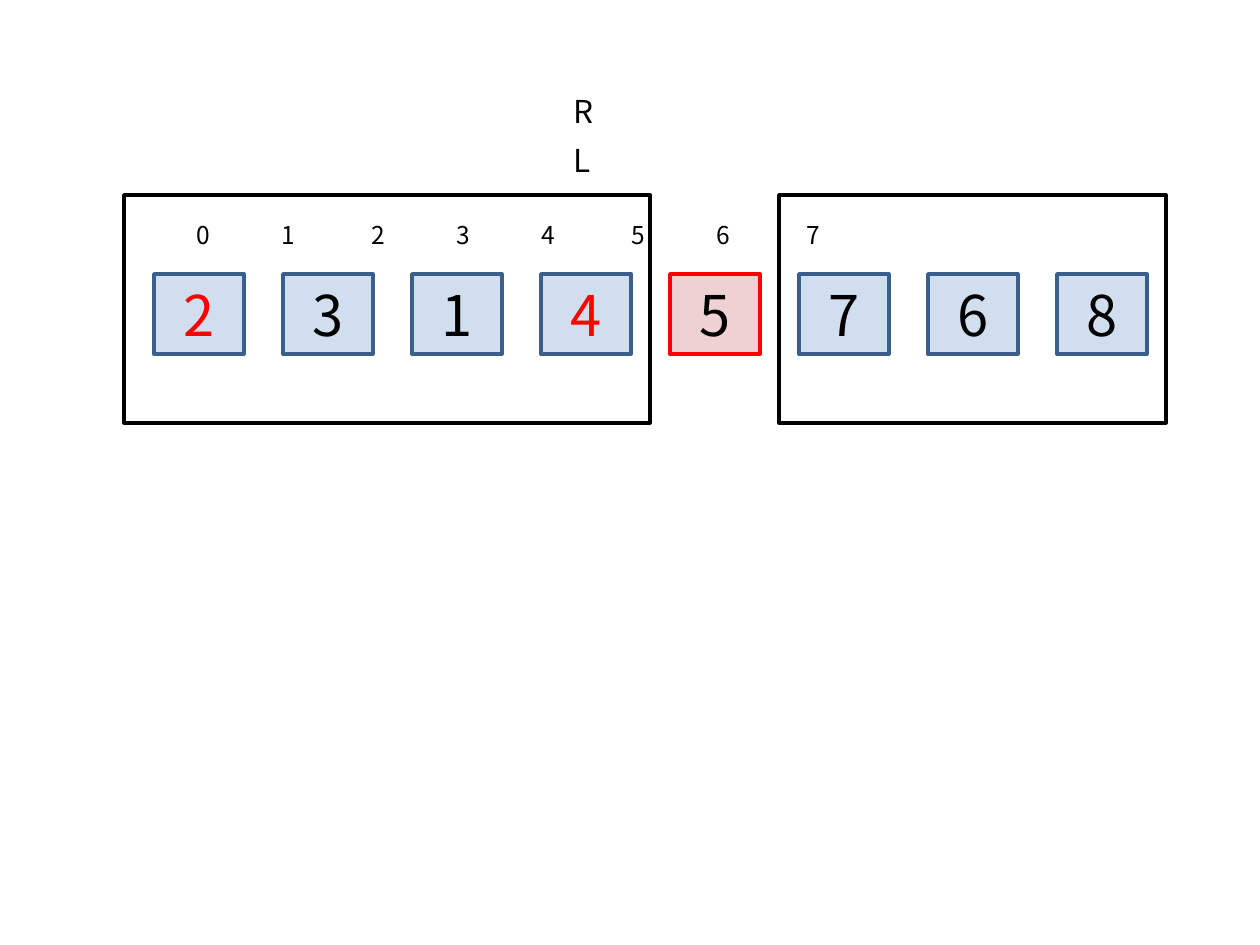
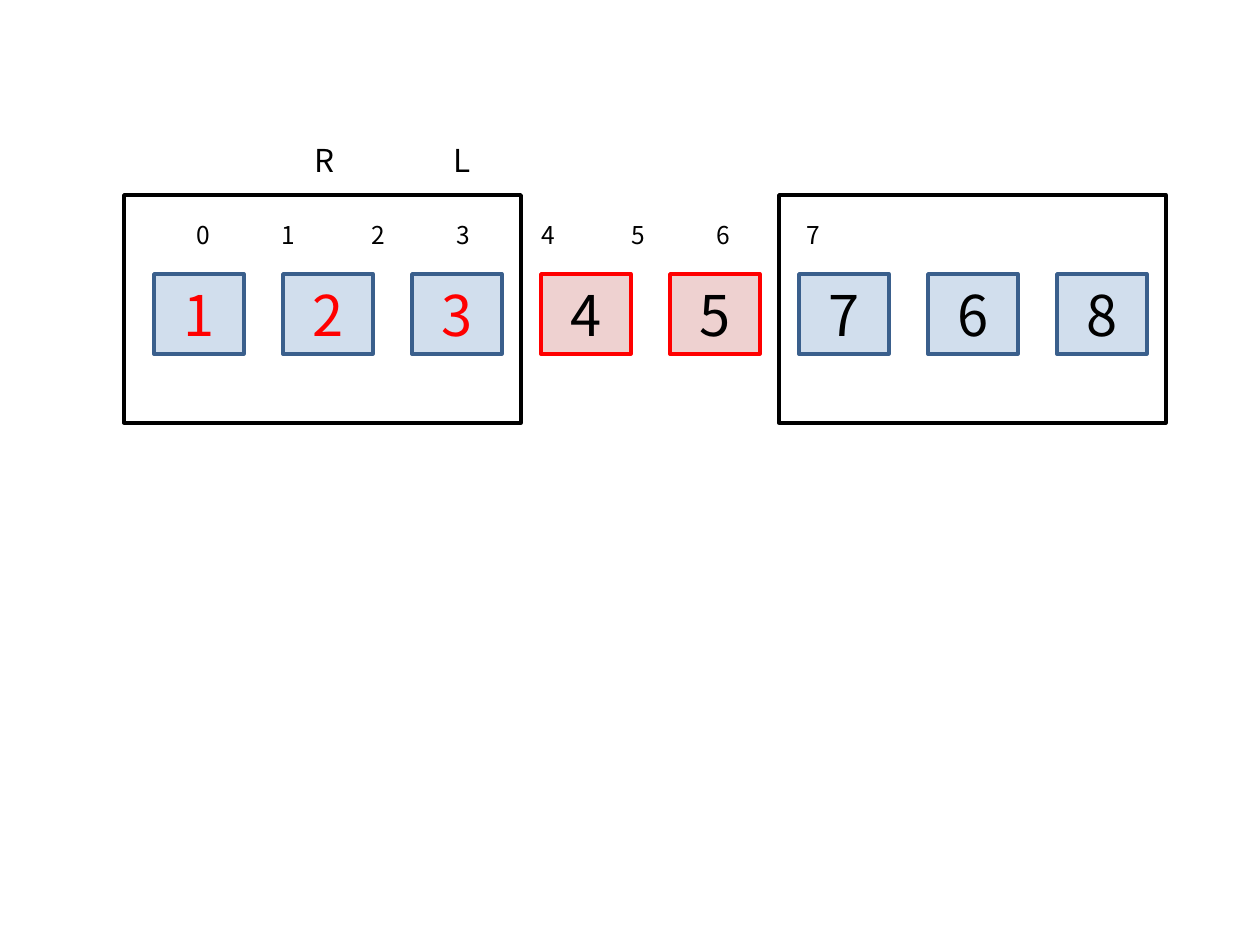
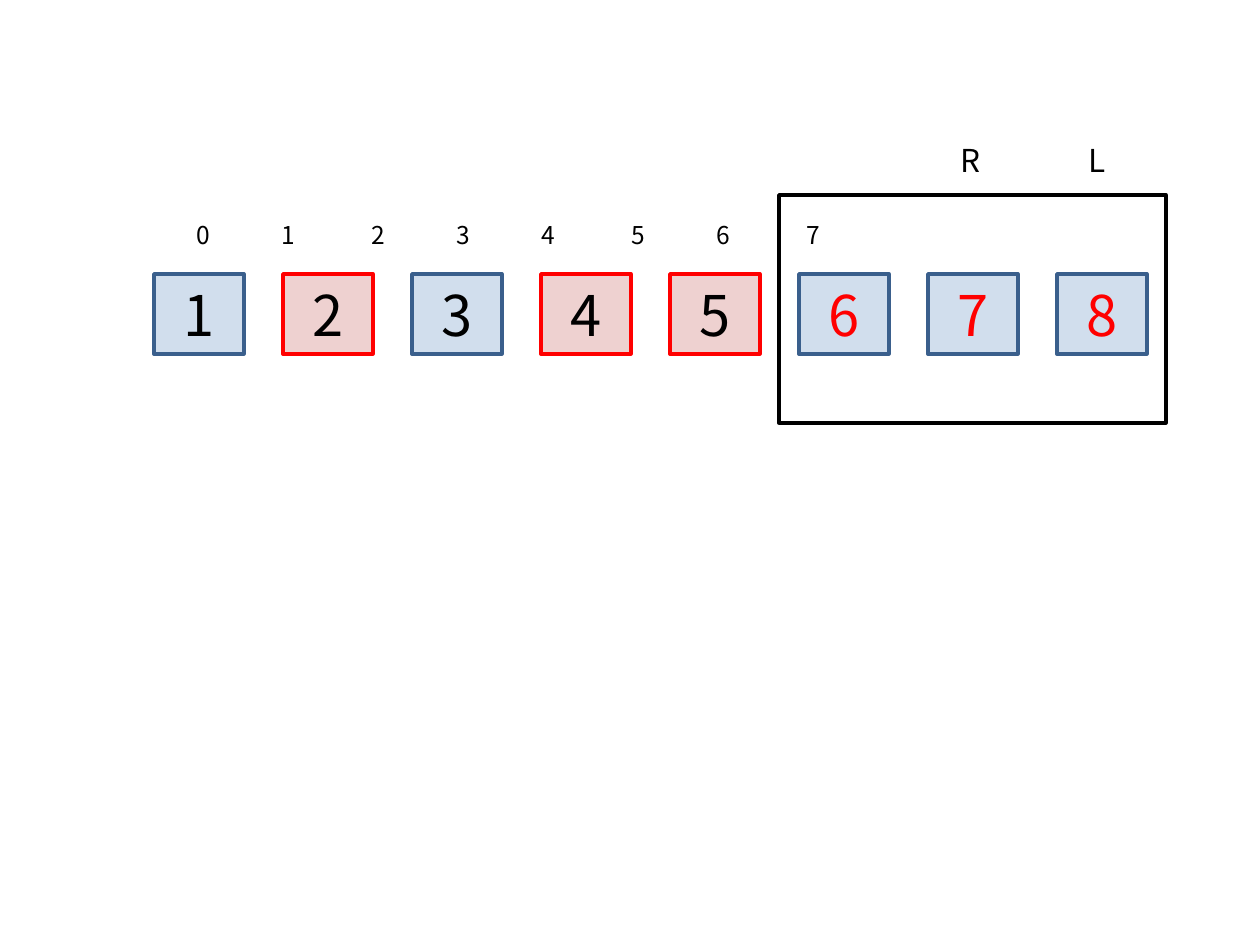
import itertools

import pptx
import pptx.dml.color
import pptx.enum.shapes
import pptx.enum.text
import pptx.oxml.ns
import pptx.util
from lxml import etree

RGBColor = pptx.dml.color.RGBColor

# Content: marked values are red, pivots are settled cells,
# frames are (first cell, last cell, left padding),
# pointers are (name, cell, level above the frame, inset in the cell)
RIGHT_FRAME = (5, 7, 20)
STEPS = [
    {
        "values": [2, 3, 1, 4, 5, 7, 6, 8],
        "marked": {2, 4},
        "pivots": {5},
        "frames": [RIGHT_FRAME, (0, 3, 30)],
        "pointers": [("L", 3, 0, 20), ("R", 3, 1, 20)],
    },
    {
        "values": [1, 2, 3, 4, 5, 7, 6, 8],
        "marked": {1, 2, 3},
        "pivots": {4, 5},
        "frames": [RIGHT_FRAME, (0, 2, 30)],
        "pointers": [("L", 2, 0, 29), ("R", 1, 0, 19)],
    },
    {
        "values": [1, 2, 3, 4, 5, 6, 7, 8],
        "marked": {6, 7, 8},
        "pivots": {2, 4, 5},
        "frames": [RIGHT_FRAME],
        "pointers": [("L", 7, 0, 19), ("R", 6, 0, 20)],
    },
]

# Style
FONT = "Noto Sans CJK KR"
BLACK = RGBColor(0x00, 0x00, 0x00)
RED = RGBColor(0xFF, 0x00, 0x00)
CELL_FILL = RGBColor(0x4F, 0x81, 0xBD)
CELL_LINE = RGBColor(0x3A, 0x5F, 0x8C)
PIVOT_FILL = RGBColor(0xC0, 0x50, 0x4D)
CELL_OPACITY = 26

# Layout in px
PX = 914400 // 126
SLIDE_WIDTH, SLIDE_HEIGHT = 1260, 945
CELL_LEFT, CELL_TOP, CELL_WIDTH, CELL_HEIGHT, CELL_PITCH = 154, 274, 90, 80, 129
FRAME_TOP, FRAME_HEIGHT, FRAME_RIGHT_PADDING = 195, 228, 19
POINTER_TOP, POINTER_HEIGHT, POINTER_RISE = 135, 50, 49
POINTER_WIDTHS = {"L": 40, "R": 45}
INDEX_BOX = (184, 214, 954, 43)
INDEX_GAPS = [85, 90, 85, 85, 90, 85, 90]


def cell_left(cell):
    return CELL_LEFT + cell * CELL_PITCH


def to_emu(*lengths):
    return [length * PX for length in lengths]


def style_paragraph(paragraph, size, color=BLACK):
    paragraph.font.name = FONT
    paragraph.font.size = pptx.util.Pt(size)
    paragraph.font.color.rgb = color


def add_rectangle(slide, box, line_color, fill_color=None):
    shape = slide.shapes.add_shape(pptx.enum.shapes.MSO_SHAPE.RECTANGLE, *to_emu(*box))
    shape.shadow.inherit = False
    shape.line.color.rgb = line_color
    shape.line.width = pptx.util.Pt(2)
    if fill_color is None:
        shape.fill.background()
    else:
        shape.fill.solid()
        shape.fill.fore_color.rgb = fill_color
        color = shape.fill._xPr.find(".//" + pptx.oxml.ns.qn("a:srgbClr"))
        etree.SubElement(color, pptx.oxml.ns.qn("a:alpha"), val=str(CELL_OPACITY * 1000))
    return shape


def add_label(slide, box, text, size, wrap=False):
    text_box = slide.shapes.add_textbox(*to_emu(*box))
    text_box.text_frame.word_wrap = wrap
    paragraph = text_box.text_frame.paragraphs[0]
    paragraph.text = text
    style_paragraph(paragraph, size)
    return paragraph


def add_frame(slide, first, last, left_padding):
    left = cell_left(first) - left_padding
    right = cell_left(last) + CELL_WIDTH + FRAME_RIGHT_PADDING
    add_rectangle(slide, (left, FRAME_TOP, right - left, FRAME_HEIGHT), BLACK)


def add_cell(slide, cell, value, marked, pivot):
    box = (cell_left(cell), CELL_TOP, CELL_WIDTH, CELL_HEIGHT)
    line_color, fill_color = (RED, PIVOT_FILL) if pivot else (CELL_LINE, CELL_FILL)
    shape = add_rectangle(slide, box, line_color, fill_color)
    shape.text_frame.vertical_anchor = pptx.enum.text.MSO_ANCHOR.MIDDLE
    paragraph = shape.text_frame.paragraphs[0]
    paragraph.text = str(value)
    paragraph.alignment = pptx.enum.text.PP_ALIGN.CENTER
    style_paragraph(paragraph, 32, RED if marked else BLACK)


def add_indexes(slide, count):
    paragraph = add_label(slide, INDEX_BOX, "\t".join(map(str, range(count))), 14, wrap=True)
    properties = paragraph._p.get_or_add_pPr()
    tab_list = etree.Element(pptx.oxml.ns.qn("a:tabLst"))
    for position in itertools.accumulate(INDEX_GAPS):
        etree.SubElement(tab_list, pptx.oxml.ns.qn("a:tab"), pos=str(position * PX), algn="l")
    # Tab stops come before the default run properties
    properties.insert(0, tab_list)


def add_pointer(slide, name, cell, level, inset):
    top = POINTER_TOP - level * POINTER_RISE
    box = (cell_left(cell) + inset, top, POINTER_WIDTHS[name], POINTER_HEIGHT)
    add_label(slide, box, name, 18)


def main():
    presentation = pptx.Presentation()
    presentation.slide_width, presentation.slide_height = to_emu(SLIDE_WIDTH, SLIDE_HEIGHT)
    for step in STEPS:
        slide = presentation.slides.add_slide(presentation.slide_layouts[6])
        for frame in step["frames"]:
            add_frame(slide, *frame)
        for cell, value in enumerate(step["values"]):
            add_cell(slide, cell, value, value in step["marked"], value in step["pivots"])
        add_indexes(slide, len(step["values"]))
        for pointer in step["pointers"]:
            add_pointer(slide, *pointer)
    presentation.save("out.pptx")


if __name__ == "__main__":
    main()
